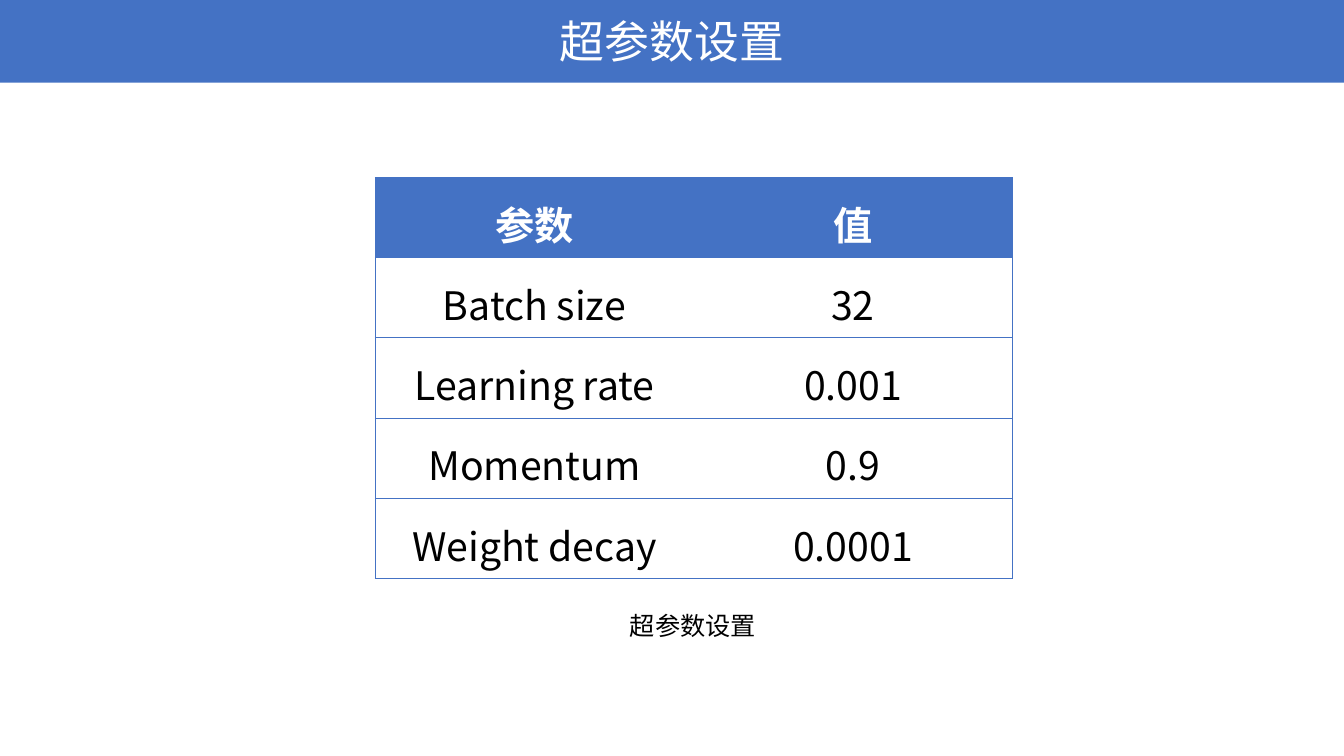
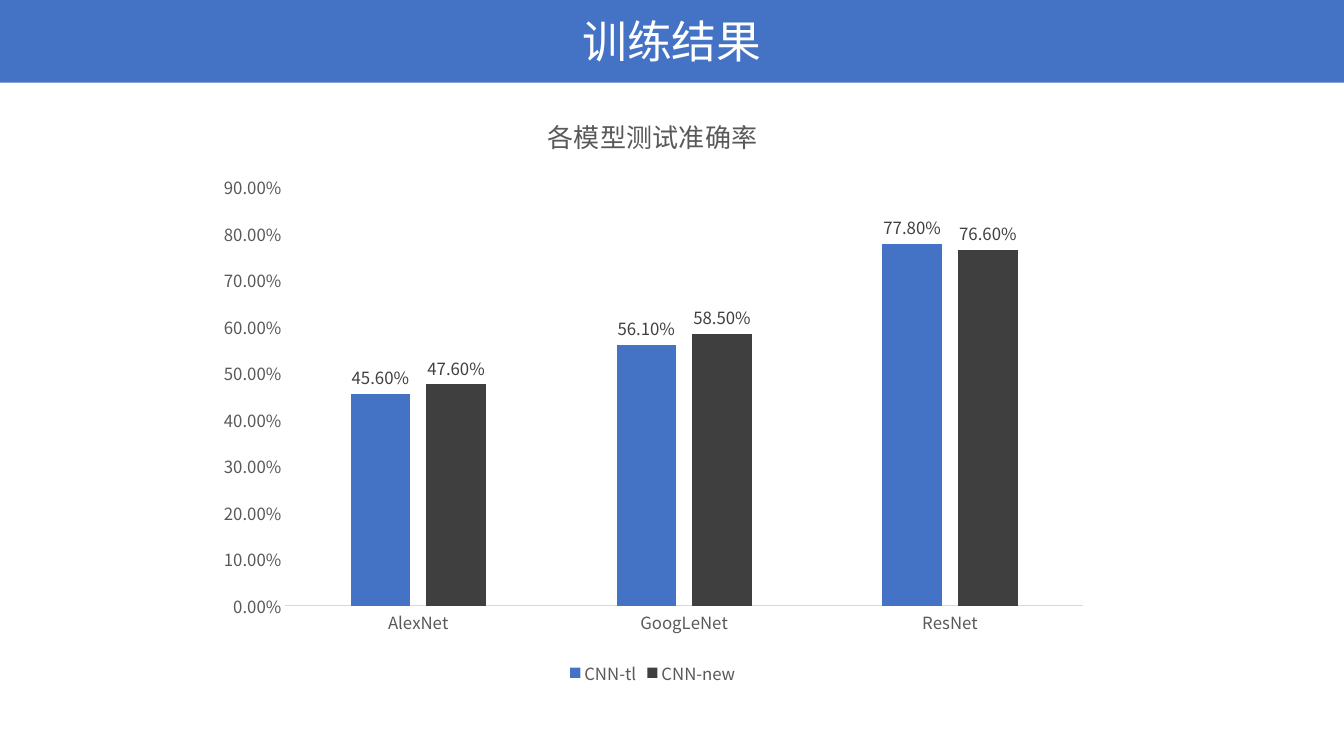
from dataclasses import dataclass

from lxml.etree import SubElement
from pptx import Presentation
from pptx.chart.data import CategoryChartData
from pptx.dml.color import RGBColor
from pptx.enum.chart import XL_CHART_TYPE as ChartType
from pptx.enum.chart import XL_LABEL_POSITION as LabelPos
from pptx.enum.chart import XL_LEGEND_POSITION as LegendPos
from pptx.enum.chart import XL_TICK_MARK as TickMark
from pptx.enum.shapes import MSO_SHAPE as Preset
from pptx.enum.text import MSO_ANCHOR as Anchor
from pptx.enum.text import PP_ALIGN as Align
from pptx.oxml import parse_xml
from pptx.oxml.ns import nsdecls, qn
from pptx.util import Inches, Pt


@dataclass(frozen=True)
class Theme:
    font: str = "Noto Sans CJK SC"
    blue: str = "4472C4"
    dark: str = "3F3F3F"
    white: str = "FFFFFF"
    black: str = "000000"
    grey: str = "595959"
    label: str = "404040"
    rule: str = "D9D9D9"
    title_size: float = 32
    table_size: float = 28
    caption_size: float = 18
    chart_title_size: float = 18.6
    chart_size: float = 12


class Deck:
    """Holds the theme and the slide being built."""

    def __init__(self, theme):
        self.theme = theme
        self.prs = Presentation()
        self.prs.slide_width = Inches(13.33)
        self.prs.slide_height = Inches(7.5)
        self.slide = None

    def style(self, font, size, color, bold=False):
        font.name, font.size, font.bold = self.theme.font, Pt(size), bold
        font.color.rgb = RGBColor.from_string(color)

    def set_text(self, frame, text, size, color, bold=False, align=Align.CENTER):
        paragraph = frame.paragraphs[0]
        paragraph.text = text
        paragraph.alignment = align
        self.style(paragraph.font, size, color, bold)
        return paragraph

    def add_slide(self, title):
        """Start a slide with the shared title band."""
        theme = self.theme
        self.slide = self.prs.slides.add_slide(self.prs.slide_layouts[6])
        band = self.slide.shapes.add_shape(
            Preset.RECTANGLE, 0, 0, self.prs.slide_width, Inches(0.82))
        band.shadow.inherit = False
        band.fill.solid()
        band.fill.fore_color.rgb = RGBColor.from_string(theme.blue)
        band.line.fill.background()
        self.add_text(title, (4.66, 0.09, 4.01, 0.64), theme.title_size, theme.white)

    def add_text(self, text, box, size, color, align=Align.CENTER, wrap=True):
        frame = self.slide.shapes.add_textbox(*map(Inches, box)).text_frame
        frame.word_wrap = wrap
        self.set_text(frame, text, size, color, align=align)

    def add_borders(self, cell, sides):
        """Draw the named sides (L, R, T, B) and clear the others."""
        props = cell._tc.get_or_add_tcPr()
        for index, side in enumerate("LRTB"):
            if side in sides:
                width = Pt(0.5)
                paint = f'<a:solidFill><a:srgbClr val="{self.theme.blue}"/></a:solidFill>'
            else:
                width, paint = 0, "<a:noFill/>"
            props.insert(index, parse_xml(
                f'<a:ln{side} {nsdecls("a")} w="{width}">{paint}</a:ln{side}>'))

    def add_table(self, rows, box):
        theme = self.theme
        last_col = len(rows[0]) - 1
        table = self.slide.shapes.add_table(
            len(rows), len(rows[0]), *map(Inches, box)).table
        for r, row in enumerate(rows):
            header = r == 0
            for c, text in enumerate(row):
                cell = table.cell(r, c)
                cell.fill.solid()
                cell.fill.fore_color.rgb = RGBColor.from_string(
                    theme.blue if header else theme.white)
                cell.margin_left = cell.margin_right = Inches(0.09)
                cell.margin_top = cell.margin_bottom = 0
                cell.vertical_anchor = Anchor.MIDDLE
                color = theme.white if header else theme.black
                paragraph = self.set_text(
                    cell.text_frame, text, theme.table_size, color, header)
                paragraph.line_spacing = 1.2
                outer = ("L" if c == 0 else "") + ("R" if c == last_col else "")
                self.add_borders(cell, "TB" + outer)

    def add_column_chart(self, title, categories, series, box, plot):
        """Series maps a name to its values and colour; plot is in chart fractions."""
        theme = self.theme
        percent = "0.00%"
        data = CategoryChartData(number_format=percent)
        data.categories = categories
        for name, (values, _) in series.items():
            data.add_series(name, values)
        chart = self.slide.shapes.add_chart(
            ChartType.COLUMN_CLUSTERED, *map(Inches, box), data).chart
        self.style(chart.font, theme.chart_size, theme.grey)

        # Title and legend
        chart.has_title = True
        self.set_text(chart.chart_title.text_frame, title,
                      theme.chart_title_size, theme.grey)
        chart.chart_title.include_in_layout = False
        chart.has_legend = True
        chart.legend.position = LegendPos.BOTTOM
        chart.legend.include_in_layout = False

        # Axes
        for axis in (chart.category_axis, chart.value_axis):
            axis.major_tick_mark = axis.minor_tick_mark = TickMark.NONE
            axis.has_major_gridlines = False
        baseline = chart.category_axis.format.line
        baseline.color.rgb = RGBColor.from_string(theme.rule)
        baseline.width = Pt(0.75)
        values_axis = chart.value_axis
        values_axis.format.line.fill.background()
        values_axis.minimum_scale, values_axis.maximum_scale = 0, 0.9
        values_axis.major_unit = 0.1
        values_axis.tick_labels.number_format = percent
        values_axis.tick_labels.number_format_is_linked = False

        # Columns and their labels
        columns = chart.plots[0]
        columns.gap_width, columns.overlap = 219, -27
        columns.vary_by_categories = False
        for column, (_, color) in zip(columns.series, series.values()):
            column.format.fill.solid()
            column.format.fill.fore_color.rgb = RGBColor.from_string(color)
            labels = column.data_labels
            labels.show_value = True
            labels.position = LabelPos.OUTSIDE_END
            labels.number_format = percent
            labels.number_format_is_linked = False
            self.style(labels.font, theme.chart_size, theme.label)

        # Plot area position
        area = chart._chartSpace.chart.plotArea
        for old in area.findall(qn("c:layout")):
            area.remove(old)
        layout = parse_xml(f'<c:layout {nsdecls("c")}><c:manualLayout/></c:layout>')
        settings = {"layoutTarget": "inner", "xMode": "edge", "yMode": "edge"}
        settings.update(zip("xywh", plot))
        for tag, value in settings.items():
            SubElement(layout[0], qn(f"c:{tag}")).set("val", str(value))
        area.insert(0, layout)


def main():
    theme = Theme()
    deck = Deck(theme)

    # Hyperparameters
    deck.add_slide("超参数设置")
    deck.add_table(
        [("参数", "值"),
         ("Batch size", "32"),
         ("Learning rate", "0.001"),
         ("Momentum", "0.9"),
         ("Weight decay", "0.0001")],
        (3.72, 1.76, 6.32, 3.98))
    deck.add_text("超参数设置", (6.15, 6.01, 1.46, 0.4), theme.caption_size,
                  theme.black, Align.LEFT, wrap=False)

    # Training results
    deck.add_slide("训练结果")
    deck.add_column_chart(
        "各模型测试准确率",
        ["AlexNet", "GoogLeNet", "ResNet"],
        {"CNN-tl": ((0.456, 0.561, 0.778), theme.blue),
         "CNN-new": ((0.476, 0.585, 0.766), theme.dark)},
        (2.03, 0.91, 8.89, 5.93),
        (0.09, 0.16, 0.89, 0.7))

    deck.prs.save("out.pptx")


if __name__ == "__main__":
    main()
